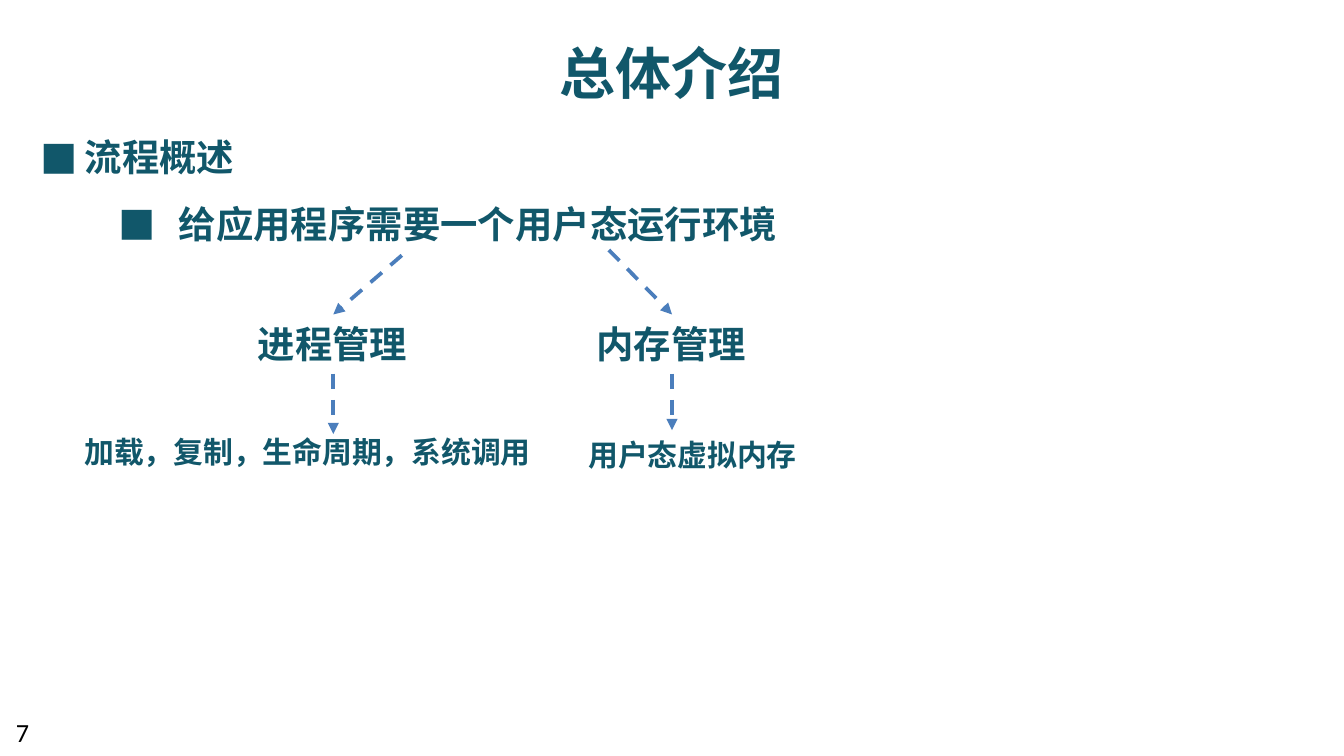
from lxml.etree import SubElement
from pptx import Presentation
from pptx.dml.color import RGBColor
from pptx.enum.dml import MSO_LINE
from pptx.enum.shapes import MSO_CONNECTOR
from pptx.enum.text import MSO_ANCHOR, MSO_AUTO_SIZE, PP_ALIGN
from pptx.oxml.ns import qn
from pptx.util import Inches, Pt

THEME = {
    "font": "Noto Sans CJK SC", "bullet_font": "Noto Sans CJK JP", "number_font": "Calibri",
    "text": RGBColor.from_string("11576A"),
    "arrow": RGBColor.from_string("4B7EBC"),
    "number": RGBColor.from_string("000000"),
    "title_size": 30, "body_size": 20, "detail_size": 16, "number_size": 14,
    "arrow_width": 2,
}

SLIDE_WIDTH = Inches(10)
SLIDE_HEIGHT = SLIDE_WIDTH * 9 // 16
TITLE = ("总体介绍", (3.55, 0.23, 2.89, 0.61))
OUTLINE_BOX = (0.2, 0.95, 7.11, 0.94)
OUTLINE = [  # text, text margin, bullet hang
    ("流程概述", 0.33, 0.33),
    ("给应用程序需要一个用户态运行环境", 1.03, 0.45),
]
BRANCHES = [
    {"topic": "进程管理", "left": 1.82, "arrow_start": (2.99, 1.9),
     "detail": "加载，复制，生命周期，系统调用", "detail_box": (0.53, 3.18, 3.63, 0.37),
     "arrow_end": 3.23},
    {"topic": "内存管理", "left": 4.34, "arrow_start": (4.53, 1.86),
     "detail": "用户态虚拟内存", "detail_box": (4.28, 3.2, 1.77, 0.37),
     "arrow_end": 3.2},
]
TOPIC_TOP, TOPIC_WIDTH, TOPIC_HEIGHT = 2.34, 1.32, 0.44
PAGE_NUMBER = ("7", (0.02, 5.28, 0.48, 0.3))


def place(shape, box):
    shape.left, shape.top, shape.width, shape.height = map(Inches, box)


def format_runs(paragraph, size, font=THEME["font"], color=THEME["text"], bold=True):
    for run in paragraph.runs:
        run.font.size, run.font.bold, run.font.name = Pt(size), bold, font
        run.font.color.rgb = color
        SubElement(run.font._element, qn("a:ea"), typeface=font)


def add_text(slide, text, box, size, **style):
    shape = slide.shapes.add_textbox(*map(Inches, box))
    shape.text_frame.word_wrap = True
    shape.text_frame.text = text
    format_runs(shape.text_frame.paragraphs[0], size, **style)
    return shape


def set_bullet(paragraph, margin, hang):
    properties = paragraph._p.get_or_add_pPr()
    properties.set("marL", str(Inches(margin)))
    properties.set("indent", str(-Inches(hang)))
    SubElement(properties, qn("a:buFont"), typeface=THEME["bullet_font"])
    SubElement(properties, qn("a:buChar"), char="■")


def add_arrow(slide, start, end):
    arrow = slide.shapes.add_connector(MSO_CONNECTOR.STRAIGHT, *map(Inches, start + end))
    arrow.line.color.rgb = THEME["arrow"]
    arrow.line.width = Pt(THEME["arrow_width"])
    arrow.line.dash_style = MSO_LINE.DASH
    SubElement(arrow.line._get_or_add_ln(), qn("a:tailEnd"), type="triangle")
    SubElement(arrow._element.spPr, qn("a:effectLst"))
    return arrow


def fill_title(shape):
    text, box = TITLE
    place(shape, box)
    frame = shape.text_frame
    frame.text = text
    frame.auto_size = MSO_AUTO_SIZE.NONE
    frame.vertical_anchor = MSO_ANCHOR.MIDDLE
    frame.paragraphs[0].alignment = PP_ALIGN.CENTER
    format_runs(frame.paragraphs[0], THEME["title_size"])


def fill_outline(shape):
    place(shape, OUTLINE_BOX)
    frame = shape.text_frame
    frame.text = "\n".join(text for text, _, _ in OUTLINE)
    frame.auto_size = MSO_AUTO_SIZE.NONE
    frame.vertical_anchor = MSO_ANCHOR.TOP
    for level, (paragraph, (_, margin, hang)) in enumerate(zip(frame.paragraphs, OUTLINE)):
        paragraph.level = level
        paragraph.space_before = Pt(11.5 if level else 0)
        set_bullet(paragraph, margin, hang)
        format_runs(paragraph, THEME["body_size"])


def add_branch(slide, branch):
    """Add a topic, its detail text and the arrows leading to each."""
    topic_box = (branch["left"], TOPIC_TOP, TOPIC_WIDTH, TOPIC_HEIGHT)
    topic = add_text(slide, branch["topic"], topic_box, THEME["body_size"])
    add_text(slide, branch["detail"], branch["detail_box"], THEME["detail_size"])
    center = branch["left"] + TOPIC_WIDTH / 2
    incoming = add_arrow(slide, branch["arrow_start"], (center, TOPIC_TOP))
    incoming.end_connect(topic, 0)
    outgoing = add_arrow(slide, (center, TOPIC_TOP + TOPIC_HEIGHT),
                         (center, branch["arrow_end"]))
    outgoing.begin_connect(topic, 2)


def main():
    presentation = Presentation()
    presentation.slide_width, presentation.slide_height = SLIDE_WIDTH, SLIDE_HEIGHT
    slide = presentation.slides.add_slide(presentation.slide_layouts[1])
    fill_title(slide.shapes.title)
    fill_outline(slide.placeholders[1])
    for branch in BRANCHES:
        add_branch(slide, branch)
    add_text(slide, *PAGE_NUMBER, THEME["number_size"], font=THEME["number_font"],
             color=THEME["number"], bold=False)
    presentation.save("out.pptx")


if __name__ == "__main__":
    main()
